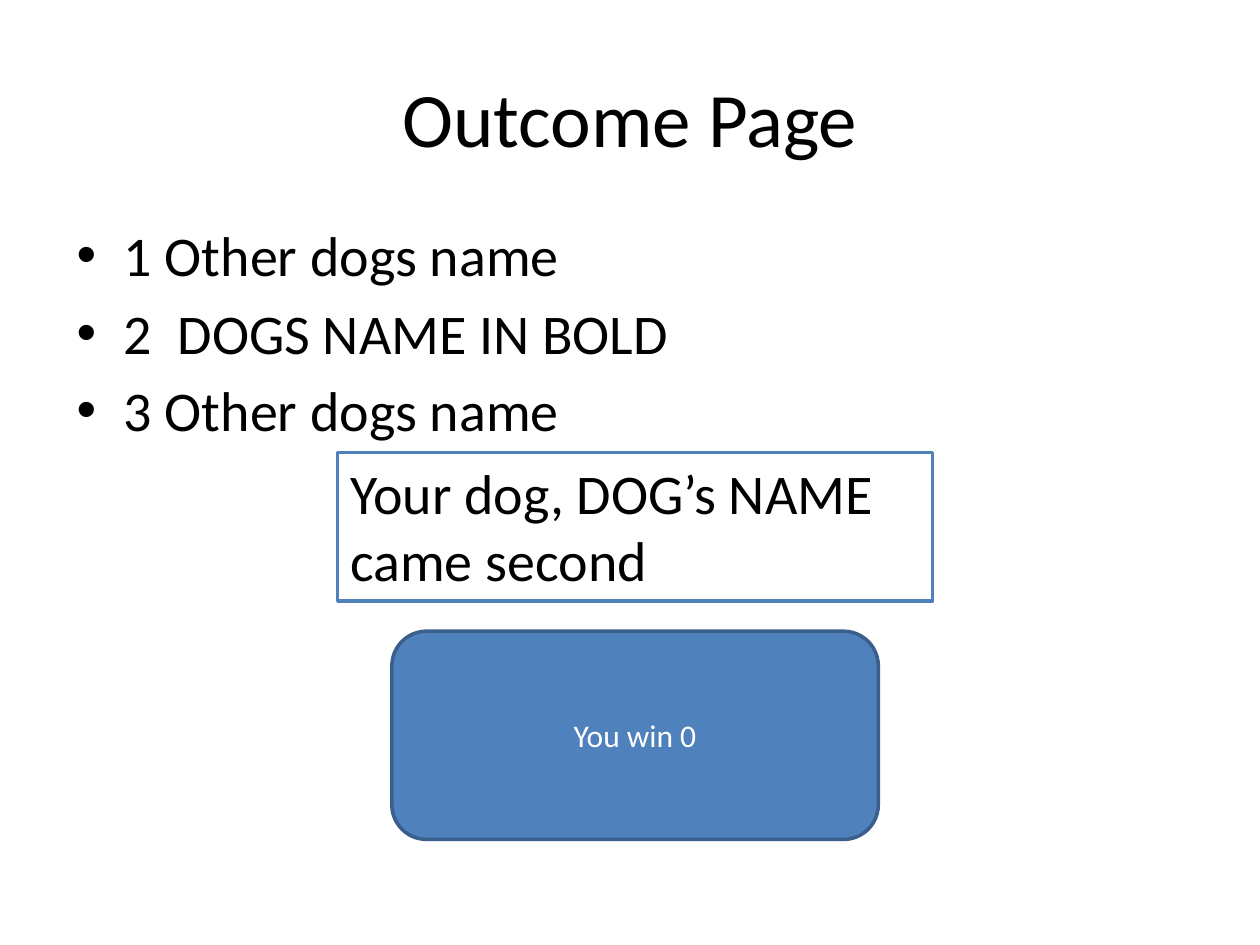
from pptx import Presentation
from pptx.dml.color import RGBColor
from pptx.enum import shapes, text
from pptx.oxml import ns
from pptx.util import Pt
from lxml import etree

BLACK = RGBColor(0x00, 0x00, 0x00)
WHITE = RGBColor(0xFF, 0xFF, 0xFF)
BLUE = RGBColor(0x4F, 0x81, 0xBD)
NAVY = RGBColor(0x3A, 0x5F, 0x8C)

LEFT, CENTER = text.PP_ALIGN.LEFT, text.PP_ALIGN.CENTER
TOP, MIDDLE = text.MSO_ANCHOR.TOP, text.MSO_ANCHOR.MIDDLE
RECT, ROUND = shapes.MSO_SHAPE.RECTANGLE, shapes.MSO_SHAPE.ROUNDED_RECTANGLE


class Page:
    face = "Calibri"
    indent = Pt(27)
    gap = Pt(6)

    def __init__(self, slide):
        self.slide = slide

    def fill_text(self, shape, lines, size, color=BLACK, align=LEFT,
                  anchor=TOP, bullet=None):
        frame = shape.text_frame
        frame.word_wrap = True
        frame.vertical_anchor = anchor
        for i, line in enumerate(lines):
            para = frame.add_paragraph() if i else frame.paragraphs[0]
            para.text = line
            para.alignment = align
            if i:
                para.space_before = self.gap
            if bullet:
                self.mark(para, bullet)
            font = para.font
            font.name, font.size, font.color.rgb = self.face, Pt(size), color

    def mark(self, para, char):
        props = para._p.get_or_add_pPr()
        props.set("marL", str(self.indent))
        props.set("indent", str(-self.indent))
        font = etree.SubElement(props, ns.qn("a:buFont"))
        font.set("typeface", "Arial")
        etree.SubElement(props, ns.qn("a:buChar")).set("char", char)

    def label(self, box, lines, size, **style):
        shape = self.slide.shapes.add_textbox(*map(Pt, box))
        self.fill_text(shape, lines, size, **style)

    def panel(self, kind, box, fill, edge, line, size, **style):
        shape = self.slide.shapes.add_shape(kind, *map(Pt, box))
        shape.shadow.inherit = False
        shape.fill.solid()
        shape.fill.fore_color.rgb = fill
        shape.line.color.rgb = edge
        shape.line.width = Pt(2)
        self.fill_text(shape, [line], size, **style)


def main():
    deck = Presentation()
    deck.slide_width, deck.slide_height = Pt(720), Pt(540)
    page = Page(deck.slides.add_slide(deck.slide_layouts[6]))

    # Title
    page.label((36, 21.6, 648, 90), ["Outcome Page"], 44,
               align=CENTER, anchor=MIDDLE)

    # Race placings
    places = ["1 Other dogs name", "2  DOGS NAME IN BOLD", "3 Other dogs name"]
    page.label((36.7, 122.4, 648, 136), places, 32, bullet="•")

    # Winnings
    page.panel(ROUND, (223.9, 360.7, 278, 119), BLUE, NAVY, "You win 0", 18,
               color=WHITE, align=CENTER, anchor=MIDDLE)

    # Result message
    page.panel(RECT, (193, 258.5, 340, 85), WHITE, BLUE,
               "Your dog, DOG’s NAME came second", 32)

    deck.save("out.pptx")


if __name__ == "__main__":
    main()
